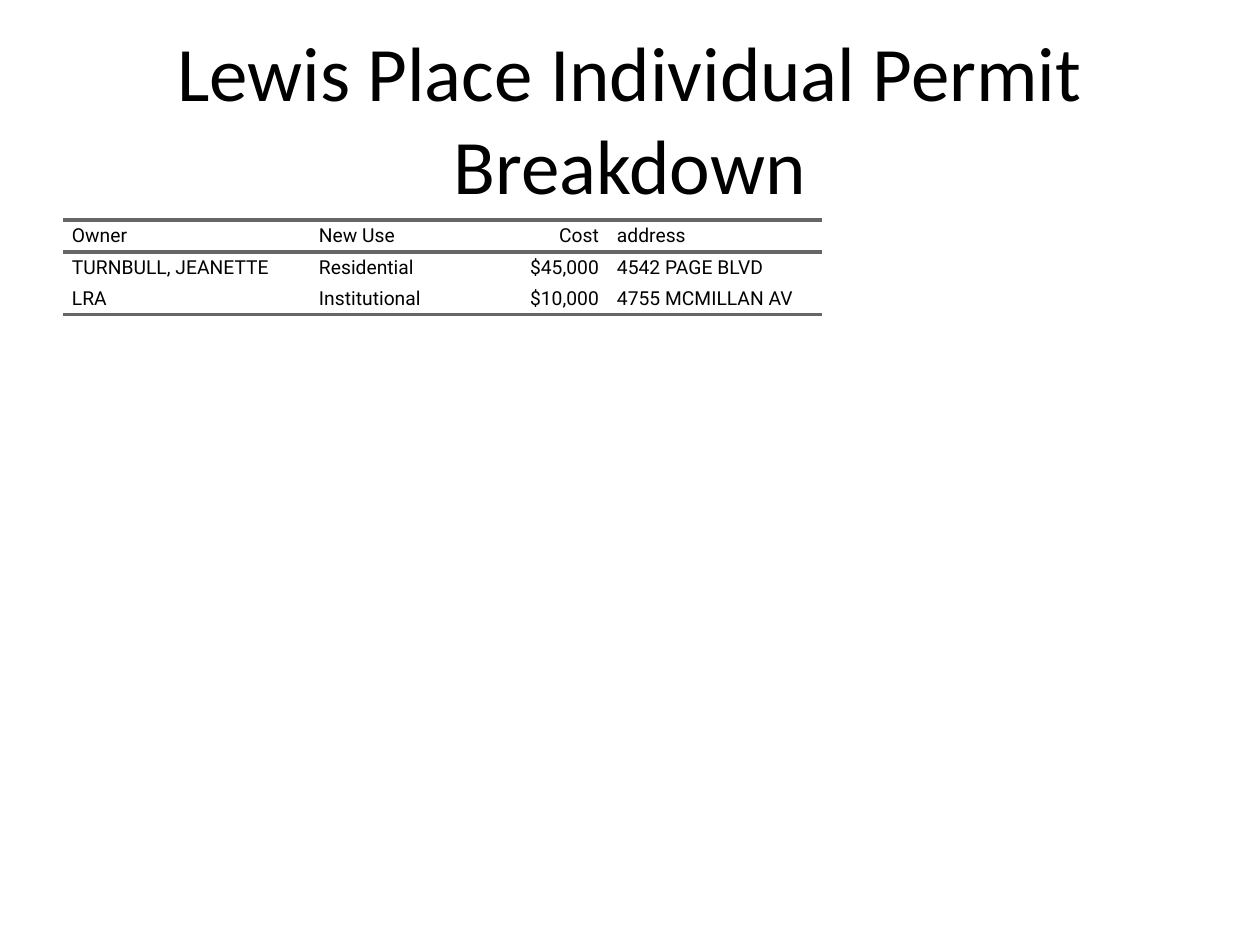
import pptx
import pptx.util
import pptx.dml.color
import pptx.enum.text
import pptx.oxml
import pptx.oxml.ns

PX = 914400 / 126
COLORS = {"text": "000000", "rule": "666666"}
ALIGN = pptx.enum.text.PP_ALIGN
MIDDLE = pptx.enum.text.MSO_ANCHOR.MIDDLE

COL_WIDTHS = [247, 134, 164, 214]
ROW_HEIGHTS = [32, 31, 32]
COST_COL = 2
PERMITS = [
    ["Owner", "New Use", "Cost", "address"],
    ["TURNBULL, JEANETTE", "Residential", "$45,000", "4542 PAGE BLVD"],
    ["LRA", "Institutional", "$10,000", "4755 MCMILLAN AV"],
]


def px(n):
    return pptx.util.Emu(round(n * PX))


def set_text(tf, text, font, size, align=ALIGN.LEFT, color="text"):
    tf.word_wrap = True
    p = tf.paragraphs[0]
    p.alignment = align
    r = p.add_run()
    r.text = text
    r.font.name = font
    r.font.size = pptx.util.Pt(size)
    r.font.color.rgb = pptx.dml.color.RGBColor.from_string(COLORS[color])


def add_title(s, text):
    sp = s.shapes.add_textbox(px(63), px(38), px(1134), px(158))
    sp.text_frame.vertical_anchor = MIDDLE
    set_text(sp.text_frame, text, "Calibri", 44, align=ALIGN.CENTER)


def add_border(cell, side, visible):
    tag = "a:ln" + side
    if visible:
        fill = f'<a:solidFill><a:srgbClr val="{COLORS["rule"]}"/></a:solidFill>'
    else:
        fill = "<a:noFill/>"
    ns = pptx.oxml.ns.nsdecls("a")
    width = pptx.util.Pt(2)
    xml = f'<{tag} {ns} w="{width}">{fill}</{tag}>'
    cell._tc.get_or_add_tcPr().append(pptx.oxml.parse_xml(xml))


def format_cell(cell, row):
    cell.margin_left = cell.margin_right = px(9)
    cell.margin_top = cell.margin_bottom = 0
    cell.vertical_anchor = MIDDLE
    # Rules frame the header and close the last row
    ruled = {"T": row in (0, 1), "B": row in (0, len(PERMITS) - 1)}
    for side in "LRTB":
        add_border(cell, side, ruled.get(side, False))
    cell.fill.background()


def add_permit_table(s):
    table = s.shapes.add_table(
        len(PERMITS), len(COL_WIDTHS), px(63), px(220),
        px(sum(COL_WIDTHS)), px(sum(ROW_HEIGHTS))).table
    table.first_row = False
    table.horz_banding = False
    for col, width in zip(table.columns, COL_WIDTHS):
        col.width = px(width)
    for row, height in zip(table.rows, ROW_HEIGHTS):
        row.height = px(height)
    for i, values in enumerate(PERMITS):
        for j, value in enumerate(values):
            cell = table.cell(i, j)
            format_cell(cell, i)
            align = ALIGN.RIGHT if j == COST_COL else ALIGN.LEFT
            set_text(cell.text_frame, value, "Roboto", 11, align=align)


def main():
    prs = pptx.Presentation()
    prs.slide_width, prs.slide_height = px(1260), px(945)
    s = prs.slides.add_slide(prs.slide_layouts[6])
    add_title(s, "Lewis Place Individual Permit Breakdown")
    add_permit_table(s)
    prs.save("out.pptx")


if __name__ == "__main__":
    main()
